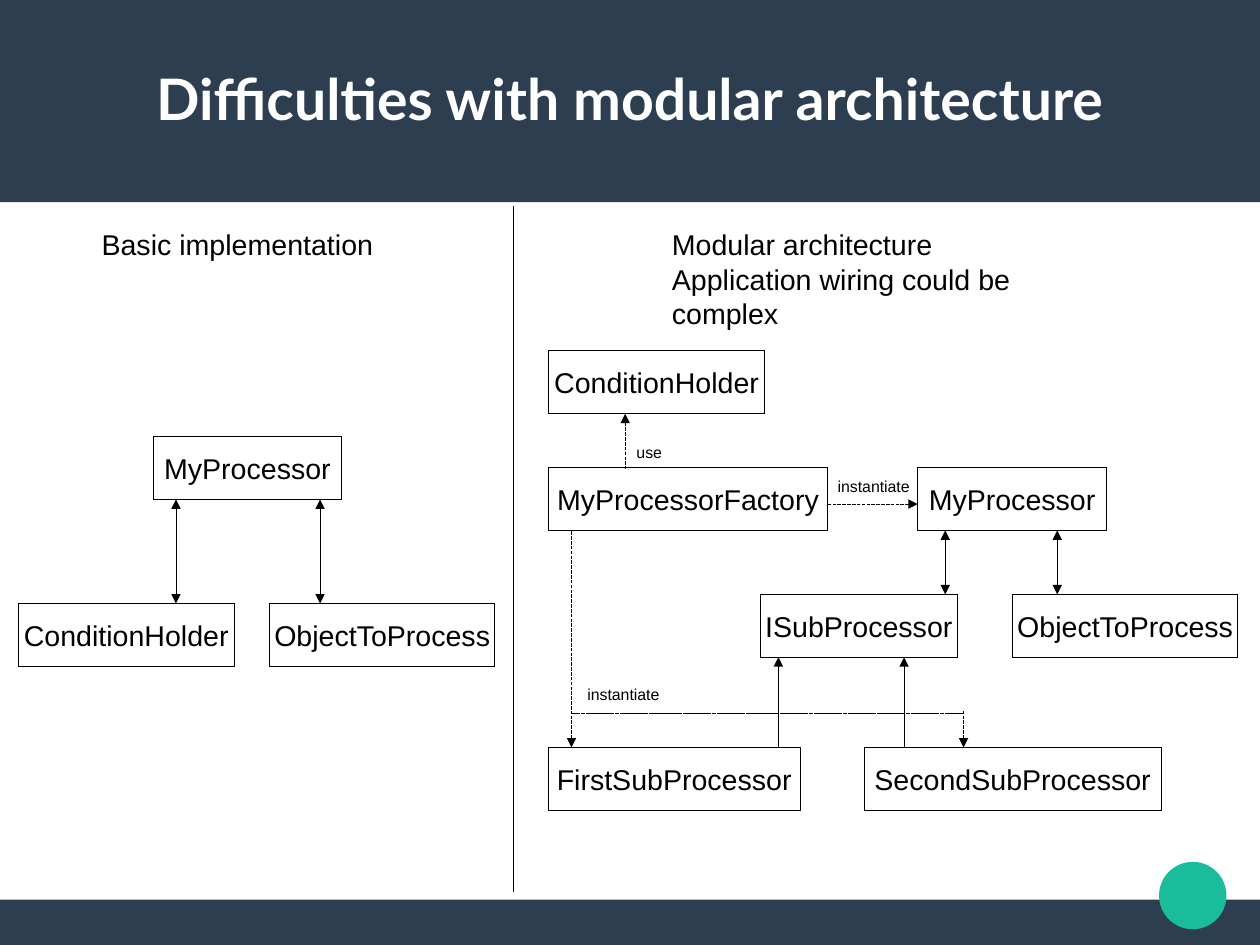
"""Build a slide that contrasts a basic implementation with a modular architecture."""
from dataclasses import dataclass

from lxml import etree
from pptx import Presentation
from pptx import util as u
from pptx.dml import color
from pptx.enum import dml, shapes, text
from pptx.oxml import ns


@dataclass(frozen=True)
class Theme:
    navy: str = "2C3E50"
    green: str = "1ABC9C"
    white: str = "FFFFFF"
    ink: str = "000000"
    title_font: str = "Lato"
    body_font: str = "Arial"
    title_size: int = 36
    body_size: int = 18
    label_size: int = 10
    hairline: str = "0"


THEME = Theme()
CM_PER_INCH = 2.54
SLIDE_WIDTH, SLIDE_HEIGHT = 28 / CM_PER_INCH, 21 / CM_PER_INCH
FOOTER_TOP = 7.87
BOX_HEIGHT = 0.55
INSETS = {"margin_left": 0.1, "margin_right": 0.1, "margin_top": 0.05, "margin_bottom": 0.05}

CLASS_BOXES = [
    ("ConditionHolder", 0.16, 5.28, 1.89),
    ("MyProcessor", 1.34, 3.82, 1.65),
    ("ObjectToProcess", 2.36, 5.28, 1.97),
    ("ConditionHolder", 4.8, 3.07, 1.89),
    ("MyProcessor", 8.03, 4.09, 1.65),
    ("ObjectToProcess", 8.86, 5.2, 1.97),
    ("MyProcessorFactory", 4.8, 4.09, 2.44),
    ("ISubProcessor", 6.65, 5.2, 1.73),
    ("SecondSubProcessor", 7.56, 6.54, 2.6),
    ("FirstSubProcessor", 4.8, 6.54, 2.2),
]
HEADINGS = [
    (["Basic implementation"], 0.79, 2.68, 0.38),
    (["Modular architecture", "Application wiring could be complex"], 5.78, 4.15, 0.94),
]
RELATION_LABELS = [
    ("instantiate", 7.23, 4.12, 0.83),
    ("instantiate", 5.04, 5.94, 0.83),
    ("use", 5.47, 3.82, 0.42),
]
MUTUAL_LINKS = [
    ((1.54, 5.28), (1.54, 4.37)),
    ((2.8, 5.28), (2.8, 4.37)),
    ((9.25, 5.2), (9.25, 4.64)),
    ((8.27, 5.2), (8.27, 4.64)),
]
INHERITANCE_LINKS = [
    ((6.81, 5.75), (6.81, 6.54)),
    ((7.91, 5.75), (7.91, 6.54)),
]
DEPENDENCY_LINKS = [
    ((5.47, 3.62), (5.47, 4.1)),
    ((5, 6.54), (5, 4.64)),
    ((8.43, 6.54), (8.43, 6.22)),
    ((8.03, 4.41), (7.24, 4.41)),
]


def rgb(value):
    """Turn a hex string into a colour."""
    return color.RGBColor.from_string(value)


def apply_format(target, values):
    """Set each named attribute on the target."""
    for name, value in values.items():
        setattr(target, name, value)


def write_text(frame, lines, font, align=text.PP_ALIGN.LEFT, **layout):
    """Write paragraphs in one font into a text frame."""
    margins = {name: u.Inches(inset) for name, inset in INSETS.items()}
    apply_format(frame, {"word_wrap": True, **margins, **layout})
    for index, line in enumerate(lines):
        paragraph = frame.paragraphs[0] if index == 0 else frame.add_paragraph()
        paragraph.alignment = align
        run = paragraph.add_run()
        run.text = line
        run.font.color.rgb = rgb(font["colour"])
        apply_format(run.font, {k: v for k, v in font.items() if k != "colour"})


def body_font(size):
    """Describe the diagram font at a given size."""
    return {"name": THEME.body_font, "size": u.Pt(size), "colour": THEME.ink}


def draw_hairline(shape):
    """Give a shape the thinnest ink outline and return its element."""
    shape.line.color.rgb = rgb(THEME.ink)
    outline = shape._element.spPr.find(ns.qn("a:ln"))
    outline.set("w", THEME.hairline)
    return outline


def add_block(slide, kind, left, top, width, height, fill):
    """Add a plain filled shape."""
    block = slide.shapes.add_shape(kind, *map(u.Inches, (left, top, width, height)))
    block.shadow.inherit = False
    block.fill.solid()
    block.fill.fore_color.rgb = rgb(fill)
    block.line.fill.background()


def add_text(slide, lines, left, top, width, height, font, **layout):
    """Add a text box."""
    box = slide.shapes.add_textbox(*map(u.Inches, (left, top, width, height)))
    write_text(box.text_frame, lines, font, **layout)


def add_class_box(slide, name, left, top, width):
    """Add an outlined box that names a class."""
    box = slide.shapes.add_shape(
        shapes.MSO_SHAPE.RECTANGLE, *map(u.Inches, (left, top, width, BOX_HEIGHT)))
    box.shadow.inherit = False
    box.fill.background()
    draw_hairline(box)
    write_text(box.text_frame, [name], body_font(THEME.body_size), text.PP_ALIGN.CENTER,
               word_wrap=False, vertical_anchor=text.MSO_ANCHOR.MIDDLE)


def add_link(slide, start, end, arrows=(), dashed=False):
    """Add a hairline with optional dashes and arrowheads."""
    link = slide.shapes.add_connector(
        shapes.MSO_CONNECTOR.STRAIGHT, *map(u.Inches, (*start, *end)))
    outline = draw_hairline(link)
    if dashed:
        link.line.dash_style = dml.MSO_LINE.SQUARE_DOT
    for arrow in arrows:
        etree.SubElement(outline, ns.qn(f"a:{arrow}"), type="triangle")
    etree.SubElement(link._element.spPr, ns.qn("a:effectLst"))


def add_frame(slide):
    """Add the bands, the corner disc and the title."""
    rectangle = shapes.MSO_SHAPE.RECTANGLE
    add_block(slide, rectangle, 0, FOOTER_TOP, SLIDE_WIDTH, SLIDE_HEIGHT - FOOTER_TOP, THEME.navy)
    add_block(slide, rectangle, 0, 0, SLIDE_WIDTH, 1.77, THEME.navy)
    add_block(slide, shapes.MSO_SHAPE.OVAL, 10.14, 7.54, 0.59, 0.59, THEME.green)
    title_font = {"name": THEME.title_font, "size": u.Pt(THEME.title_size),
                  "bold": True, "colour": THEME.white}
    add_text(slide, ["Difficulties with modular architecture"], 0.39, 0.33, 10.24, 1.05,
             title_font, align=text.PP_ALIGN.CENTER,
             vertical_anchor=text.MSO_ANCHOR.MIDDLE, **dict.fromkeys(INSETS, 0))


def add_links(slide):
    """Add every relation between the classes."""
    for start, end in MUTUAL_LINKS:
        add_link(slide, start, end, ("headEnd", "tailEnd"))
    for start, end in INHERITANCE_LINKS:
        add_link(slide, start, end, ("headEnd",))
    for start, end in DEPENDENCY_LINKS:
        add_link(slide, start, end, ("headEnd",), dashed=True)
    add_link(slide, (5, 6.24), (8.43, 6.24), dashed=True)


def main():
    """Build and save the slide."""
    deck = Presentation()
    apply_format(deck, {"slide_width": u.Inches(SLIDE_WIDTH),
                        "slide_height": u.Inches(SLIDE_HEIGHT)})
    slide = deck.slides.add_slide(deck.slide_layouts[6])
    add_frame(slide)
    add_link(slide, (4.49, 1.81), (4.49, 7.8))
    for class_box in CLASS_BOXES:
        add_class_box(slide, *class_box)
    for lines, left, width, height in HEADINGS:
        add_text(slide, lines, left, 1.94, width, height, body_font(THEME.body_size),
                 auto_size=text.MSO_AUTO_SIZE.SHAPE_TO_FIT_TEXT)
    add_links(slide)
    for label, left, top, width in RELATION_LABELS:
        add_text(slide, [label], left, top, width, 0.25, body_font(THEME.label_size),
                 word_wrap=False, auto_size=text.MSO_AUTO_SIZE.SHAPE_TO_FIT_TEXT)
    deck.save("out.pptx")


if __name__ == "__main__":
    main()
